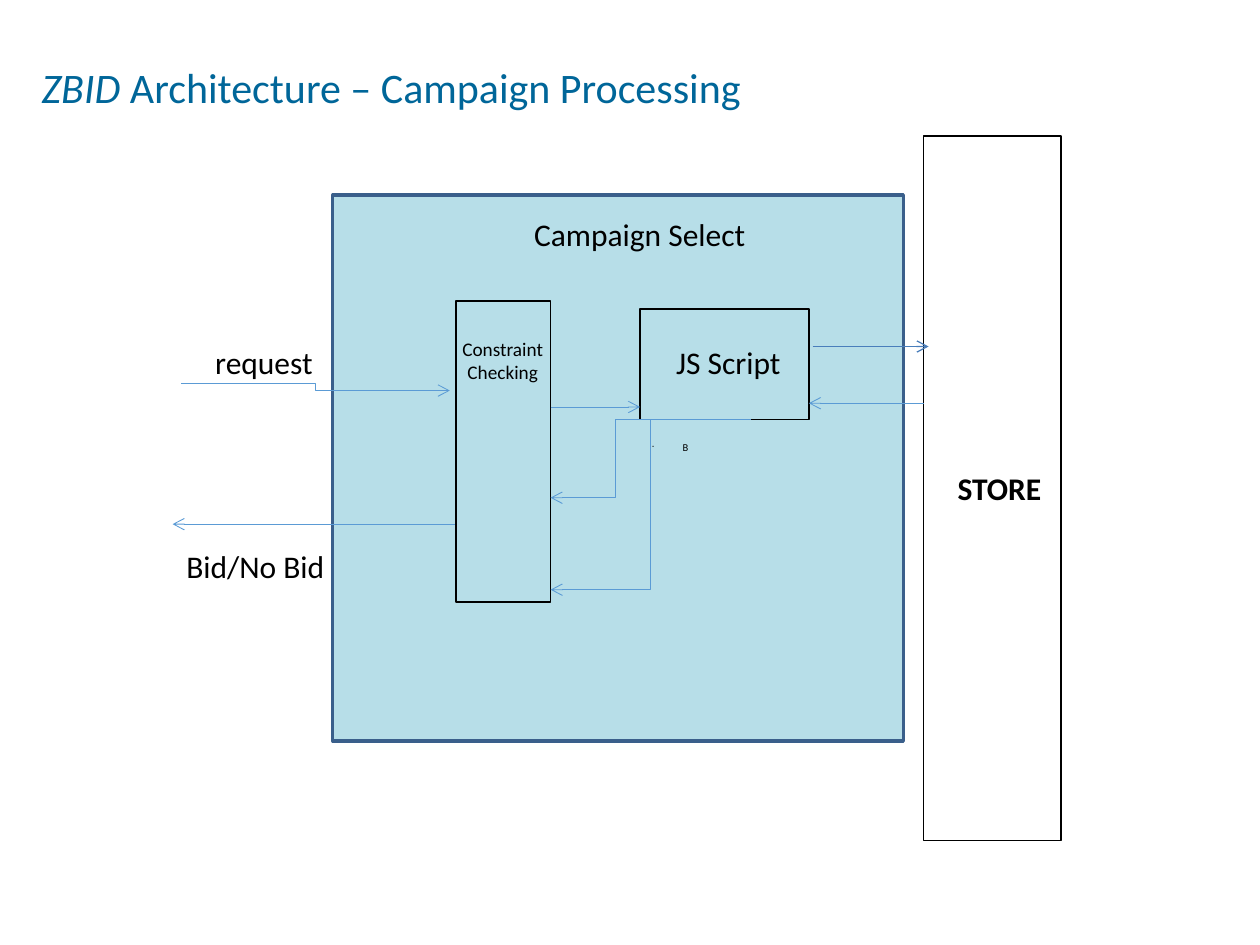
from dataclasses import dataclass

from lxml.etree import SubElement
from pptx import Presentation
from pptx.dml.color import RGBColor
from pptx.enum.shapes import MSO_CONNECTOR as Link, MSO_SHAPE as Kind
from pptx.enum.text import MSO_ANCHOR as Anchor, MSO_AUTO_SIZE as Fit, PP_ALIGN as Align
from pptx.oxml.ns import qn
from pptx.util import Inches, Pt

COLS, ROWS = 100, 75
CELL = Inches(0.1)
FONT = "Calibri"
HEX = {
    "title": "006699", "text": "000000", "panel": "B7DEE8",
    "edge": "3A5F8B", "box": "000000", "flow": "5B9BD5", "query": "4A7EBB",
}


@dataclass
class Box:
    """A rectangle in grid cells; pad is the left inset of its text."""
    x: float
    y: float
    w: float
    h: float
    text: str = ""
    fill: str = ""
    line: str = "box"
    width: float = 1
    bold: bool = False
    align: Align = Align.LEFT
    pad: float = 1
    foot: float = 0.5


@dataclass
class Label:
    x: float
    y: float
    w: float
    h: float
    lines: tuple[str, ...]
    size: float = 18
    align: Align = Align.LEFT


@dataclass
class Flow:
    """An arrow between two grid points, bent when their rows differ."""
    x1: float
    y1: float
    x2: float
    y2: float
    tint: str = "flow"
    width: float = 0.5


BOXES = [
    Box(26.4, 15.5, 45.3, 43.3, fill="panel", line="edge", width=2),
    Box(73.3, 10.8, 10.9, 55.9, "STORE", bold=True, pad=2.7),
    Box(36.2, 23.9, 7.5, 23.9),
    Box(50.8, 24.5, 13.4, 8.8, "JS Script", align=Align.CENTER, pad=1.6, foot=0.9),
]
FLOWS = [
    Flow(64.5, 27.5, 73.7, 27.5, "query", 0.75),
    Flow(73.3, 32, 64.2, 32),
    Flow(43.7, 32.3, 50.8, 32.3),
    Flow(54, 33.3, 43.7, 39.5),
    Flow(59.6, 33.3, 43.7, 46.8),
    Flow(14.4, 30.4, 35.7, 31),
    Flow(36.1, 41.6, 13.7, 41.6),
]
LABELS = [
    Label(35.7, 26.3, 8.4, 4.7, ("Constraint", "Checking"), 11, Align.CENTER),
    Label(41.4, 16.6, 18.8, 4, ("Campaign Select",)),
    Label(16.1, 26.7, 10.2, 4, ("request",)),
    Label(13.8, 42.9, 13.2, 4, ("Bid/No Bid",)),
]
NOTE = Label(50.8, 34.5, 6, 2, ("B",), 6)


def cells(*nums: float) -> list[int]:
    return [round(num * CELL) for num in nums]


def tone(name: str) -> RGBColor:
    return RGBColor.from_string(HEX[name])


def add_run(para, text: str, size: float, tint="text", bold=False, slant=False):
    run = para.add_run()
    run.text = text
    font = run.font
    font.name, font.size, font.bold, font.italic = FONT, Pt(size), bold, slant
    font.color.rgb = tone(tint)


def add_title(slide):
    title = slide.shapes.title
    title.left, title.top, title.width, title.height = cells(3.3, 4.9, 94.2, 4.7)
    frame = title.text_frame
    frame.margin_left = frame.margin_right = 0
    frame.margin_top = frame.margin_bottom = 0
    frame.vertical_anchor, frame.auto_size = Anchor.TOP, Fit.NONE
    para = frame.paragraphs[0]
    para.alignment = Align.LEFT
    add_run(para, "ZBID", 24, "title", slant=True)
    add_run(para, " Architecture – Campaign Processing", 24, "title")


def add_box(slide, box: Box):
    shape = slide.shapes.add_shape(Kind.RECTANGLE, *cells(box.x, box.y, box.w, box.h))
    shape.shadow.inherit = False
    if box.fill:
        shape.fill.solid()
        shape.fill.fore_color.rgb = tone(box.fill)
    else:
        shape.fill.background()
    shape.line.color.rgb = tone(box.line)
    shape.line.width = Pt(box.width)
    if box.text:
        frame = shape.text_frame
        frame.margin_left, frame.margin_bottom = cells(box.pad, box.foot)
        frame.vertical_anchor = Anchor.MIDDLE
        para = frame.paragraphs[0]
        para.alignment = box.align
        add_run(para, box.text, 18, bold=box.bold)


def add_label(slide, label: Label):
    shape = slide.shapes.add_textbox(*cells(label.x, label.y, label.w, label.h))
    frame = shape.text_frame
    frame.word_wrap = False
    for i, line in enumerate(label.lines):
        para = frame.add_paragraph() if i else frame.paragraphs[0]
        para.alignment = label.align
        add_run(para, line, label.size)
    return frame


def add_note(slide, label: Label):
    """Draw a label with a small bullet before its text."""
    frame = add_label(slide, label)
    frame.word_wrap = True
    props = frame.paragraphs[0]._p.get_or_add_pPr()
    hang = cells(2.4)[0]
    props.set("marL", str(hang))
    props.set("indent", str(-hang))
    SubElement(props, qn("a:buSzPct"), val="45000")
    SubElement(props, qn("a:buChar"), char="•")


def add_flow(slide, flow: Flow):
    kind = Link.STRAIGHT if flow.y1 == flow.y2 else Link.ELBOW
    link = slide.shapes.add_connector(kind, *cells(flow.x1, flow.y1, flow.x2, flow.y2))
    link.line.color.rgb = tone(flow.tint)
    link.line.width = Pt(flow.width)
    SubElement(link.line._get_or_add_ln(), qn("a:tailEnd"), type="arrow")
    SubElement(link._element.spPr, qn("a:effectLst"))


def main():
    deck = Presentation()
    deck.slide_width, deck.slide_height = cells(COLS, ROWS)
    slide = deck.slides.add_slide(deck.slide_layouts.get_by_name("Title Only"))
    add_title(slide)
    for box in BOXES:
        add_box(slide, box)
    add_note(slide, NOTE)
    for flow in FLOWS:
        add_flow(slide, flow)
    for label in LABELS:
        add_label(slide, label)
    deck.save("out.pptx")


if __name__ == "__main__":
    main()
